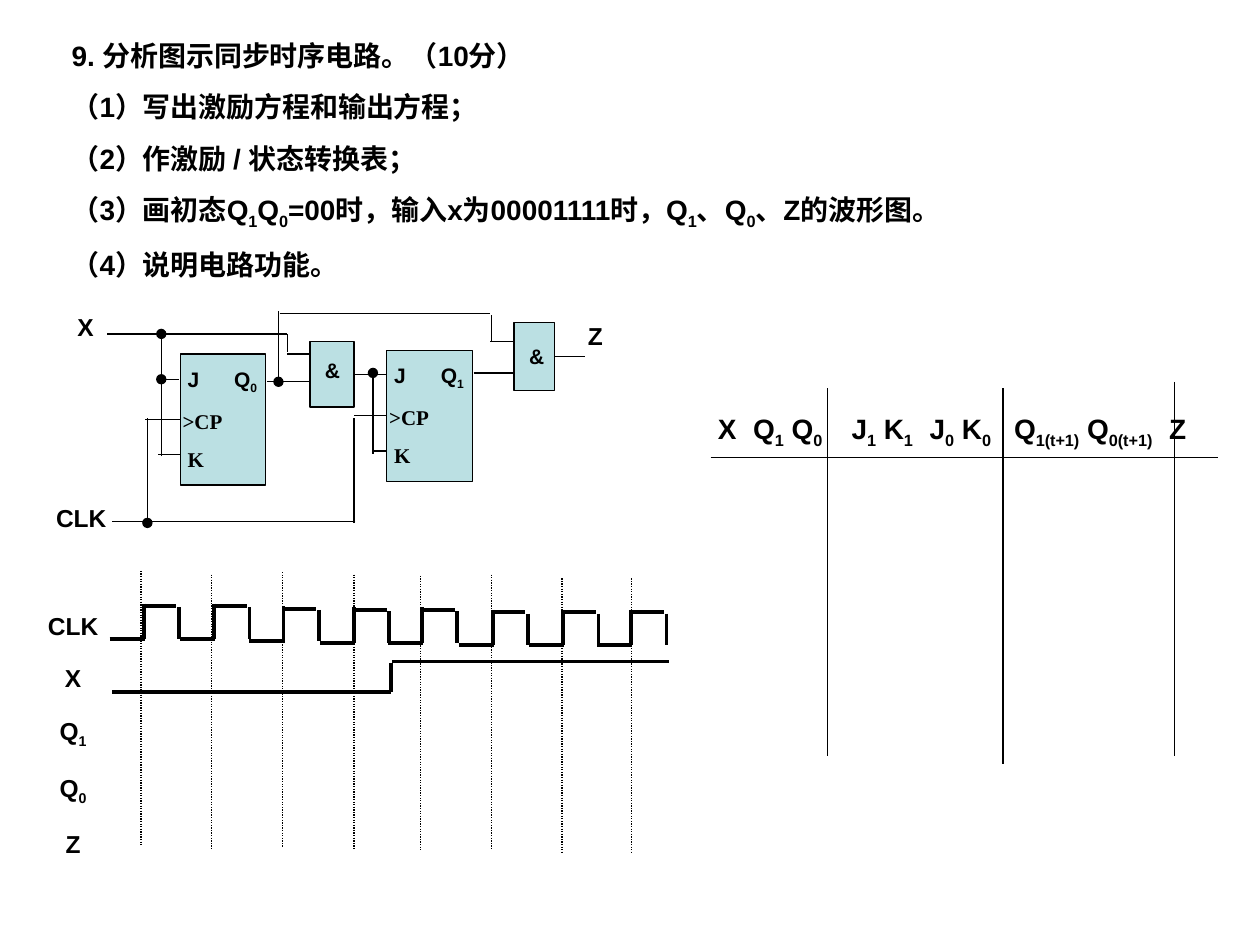
from lxml import etree
from pptx import Presentation
from pptx.dml.color import RGBColor
from pptx.enum.dml import MSO_LINE
from pptx.enum.shapes import MSO_CONNECTOR, MSO_SHAPE
from pptx.enum.text import PP_ALIGN
from pptx.oxml.ns import qn
from pptx.util import Pt

PX = 9144  # EMU in one px, 100 px to the inch
STRAIGHT = MSO_CONNECTOR.STRAIGHT
RECT = MSO_SHAPE.RECTANGLE
DOTTED = MSO_LINE.ROUND_DOT
LEFT, CENTER = PP_ALIGN.LEFT, PP_ALIGN.CENTER
SIDE_LEFT, SIDE_RIGHT = 1, 3
ARIAL, TIMES = "Arial", "Times New Roman"
BLACK, TEAL = "000000", "BBE0E3"

QUESTION = [
    "9. 分析图示同步时序电路。（10分）",
    "（1）写出激励方程和输出方程；",
    "（2）作激励 / 状态转换表；",
    "（3）画初态Q{1}Q{0}=00时，输入x为00001111时，Q{1}、Q{0}、Z的波形图。",
    "（4）说明电路功能。",
]
TABLE_HEAD = "\tX\tQ{1} Q{0}\tJ{1} K{1}\tJ{0} K{0}\tQ{1(t+1)} Q{0(t+1)}\tZ"

# Wires of the circuit: x1, y1, x2, y2
WIRES = [
    (182, 63, 216, 63), (55, 25, 198, 25), (198, 25, 198, 39),
    (198, 41, 216, 41), (192, 9, 359, 9), (360, 10, 360, 31),
    (359, 31, 377, 31), (346, 56, 378, 56), (276, 118, 266, 118),
    (113, 121, 95, 121), (251, 92, 251, 175), (252, 174, 59, 174),
]
# Wires that end in a junction dot
JUNCTION_WIRES = [
    (191, 7, 191, 63), (266, 120, 266, 56), (98, 122, 98, 25),
    (112, 61, 98, 61), (87, 92, 87, 175),
]
# Clock cycles: guide x, guide top, rising edge x, low level y
CYCLES = [
    (90, 0, 92, 54), (146, 3, 148, 54), (202, 1, 203, 56), (259, 3, 259, 57),
    (312, 4, 313, 57), (368, 3, 369, 59), (424, 6, 425, 59), (479, 6, 479, 59),
]


def color(hex_string):
    return RGBColor.from_string(hex_string)


def add_text(s, x, y, w, h, paragraphs, size=14, align=CENTER, before=8.8,
             spacing=None, tabs=(), fonts=()):
    """Add bold text; parts in braces are subscripts."""
    tf = s.shapes.add_textbox(x * PX, y * PX, w * PX, h * PX).text_frame
    tf.word_wrap = True
    for i, text in enumerate(paragraphs):
        p = tf.add_paragraph() if i else tf.paragraphs[0]
        p.alignment = align
        if spacing:
            p.line_spacing = spacing
        if i:
            p.space_before = Pt(before)
        if tabs:
            tab_list = etree.SubElement(p._p.get_or_add_pPr(), qn("a:tabLst"))
            for pos in tabs:
                etree.SubElement(tab_list, qn("a:tab"), pos=str(pos * PX), algn="l")
        for j, part in enumerate(text.replace("}", "{").split("{")):
            if not part:
                continue
            r = p.add_run()
            r.text = part
            r.font.size = Pt(size)
            r.font.bold = True
            r.font.name = fonts[i] if fonts else ARIAL
            r.font.color.rgb = color(BLACK)
            if j % 2:
                r._r.get_or_add_rPr().set("baseline", "-25000")


def add_line(s, x, y, points, width=0.75, dash=None, dot=False):
    x1, y1, x2, y2 = points
    c = s.shapes.add_connector(STRAIGHT, (x + x1) * PX, (y + y1) * PX,
                               (x + x2) * PX, (y + y2) * PX)
    c.line.width = Pt(width)
    c.line.color.rgb = color(BLACK)
    if dash:
        c.line.dash_style = dash
    if dot:
        etree.SubElement(c.line._get_or_add_ln(), qn("a:tailEnd"), type="oval")
    etree.SubElement(c._element.spPr, qn("a:effectLst"))
    return c


def add_block(s, x, y, w, h):
    sp = s.shapes.add_shape(RECT, x * PX, y * PX, w * PX, h * PX)
    sp.shadow.inherit = False
    sp.fill.solid()
    sp.fill.fore_color.rgb = color(TEAL)
    sp.line.color.rgb = color(BLACK)
    sp.line.width = Pt(0.75)
    return sp


def add_flip_flop(s, x, y, index):
    sp = add_block(s, x, y, 68, 104)
    add_text(s, x - 8, y + 5, 85, 94, [f"\tJ\tQ{{{index}}}", ">CP", "\tK"],
             size=12, align=LEFT, before=7.5, tabs=(4, 41),
             fonts=(ARIAL, TIMES, TIMES))
    return sp


def add_and_gate(s, x, y, w, h, label_y):
    sp = add_block(s, x, y, w, h)
    add_text(s, x, y + label_y, 36, 30, ["&"], size=12)
    return sp


def add_circuit(s, x, y):
    # Flip-flops and gates
    ff0 = add_flip_flop(s, x + 113, y + 41, 0)
    ff1 = add_flip_flop(s, x + 277, y + 38, 1)
    gate_j = add_and_gate(s, x + 216, y + 31, 35, 52, 8)
    gate_z = add_and_gate(s, x + 378, y + 16, 32, 54, 12)

    # Wires joined to the middle of a block's side
    for block, side, points in [
        (gate_j, SIDE_RIGHT, (251, 57, 277, 57)),
        (gate_z, SIDE_RIGHT, (410, 43, 434, 43)),
        (ff1, SIDE_LEFT, (277, 90, 251, 90)),
        (ff0, SIDE_LEFT, (113, 93, 85, 93)),
    ]:
        add_line(s, x, y, points).begin_connect(block, side)

    # Other wires
    for points in WIRES:
        add_line(s, x, y, points)
    for points in JUNCTION_WIRES:
        add_line(s, x, y, points, dot=True)

    # Inputs and output
    for label, dx, dy, w in [("X", 20, 3, 36), ("CLK", 2, 154, 65), ("Z", 417, 10, 51)]:
        add_text(s, x + dx, y + dy, w, 34, [label])


def add_timing(s, x, y):
    for guide, top, rise, low in CYCLES:
        # Low level, rising edge, high level, falling edge
        for points in [
            (rise - 27, low, rise + 1, low),
            (rise, low - 28, rise, low),
            (rise + 1, low - 26, rise + 26, low - 26),
            (rise + 28, low - 25, rise + 28, low),
        ]:
            add_line(s, x, y, points, width=2.25)
        add_line(s, x, y, (guide, top, guide, top + 218), dash=DOTTED)

    # Input X steps up after four cycles
    for points in [(67, 96, 288, 96), (288, 73, 288, 96), (289, 72, 509, 72)]:
        add_line(s, x, y, points, width=2.25)

    add_text(s, x, y + 21, 72, 213, ["CLK", "X", "Q{1}", "Q{0}", "Z"], spacing=1.25)


def add_state_table(s, x, y):
    add_text(s, x, y + 19, 417, 41, [TABLE_HEAD], size=16, align=LEFT,
             tabs=(13, 41, 119, 181, 248, 371))
    for points in [(110, 5, 110, 297), (249, 5, 249, 303),
                   (17, 60, 420, 60), (385, 0, 385, 297)]:
        add_line(s, x, y, points)


def main():
    prs = Presentation()
    prs.slide_width, prs.slide_height = 1000 * PX, 750 * PX
    s = prs.slides.add_slide(prs.slide_layouts[6])
    add_text(s, 47, 26, 814, 203, QUESTION, size=16, align=LEFT, before=10)
    add_circuit(s, 30, 240)
    add_timing(s, 22, 453)
    add_state_table(s, 547, 303)
    prs.save("out.pptx")


if __name__ == "__main__":
    main()
